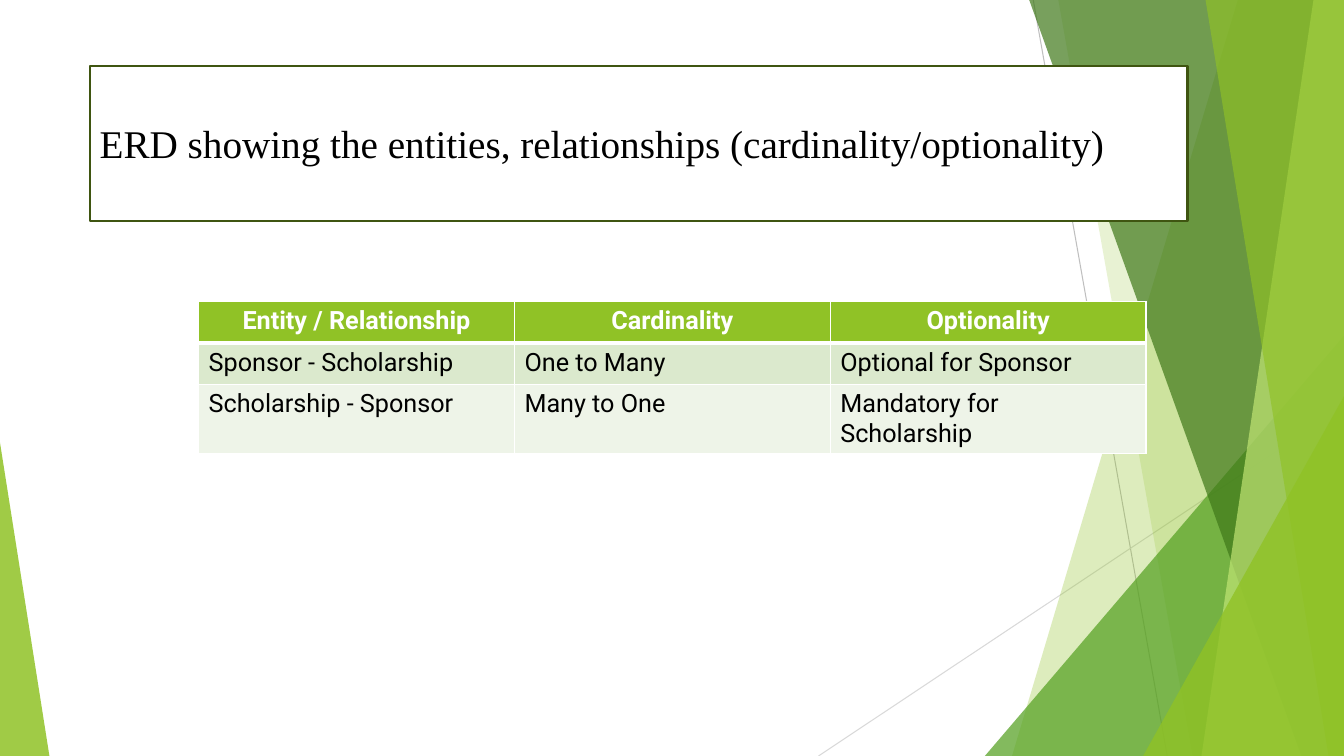
from dataclasses import dataclass

from lxml import etree
from pptx import Presentation
from pptx.dml.color import RGBColor
from pptx.enum.shapes import MSO_CONNECTOR, MSO_SHAPE
from pptx.enum.text import MSO_ANCHOR, PP_ALIGN
from pptx.oxml.ns import qn
from pptx.util import Inches, Pt

STRAIGHT = MSO_CONNECTOR.STRAIGHT
RECTANGLE, TRIANGLE = MSO_SHAPE.RECTANGLE, MSO_SHAPE.ISOSCELES_TRIANGLE
MIDDLE = MSO_ANCHOR.MIDDLE
LEFT, CENTER = PP_ALIGN.LEFT, PP_ALIGN.CENTER

WIDTH, HEIGHT = Inches(13.333), Inches(7.5)
COLORS = {
    "white": "FFFFFF", "black": "000000", "lime": "90C226", "green": "54A021",
    "forest": "3F7819", "pale": "C0E474", "outline": "3F5511",
    "gray": "BFBFBF", "light gray": "D9D9D9",
    "band dark": "DBE9CD", "band light": "EEF4E8",
}
TITLE = "ERD showing the entities, relationships (cardinality/optionality)"
ROWS = [
    ("Entity / Relationship", "Cardinality", "Optionality"),
    ("Sponsor - Scholarship", "One to Many", "Optional for Sponsor"),
    ("Scholarship - Sponsor", "Many to One", "Mandatory for Scholarship"),
]
ROW_FILLS = ["lime", "band dark", "band light"]


# All coordinates are percentages of the slide's width or height.
@dataclass
class Ray:
    start: tuple[float, float]
    end: tuple[float, float]
    color: str


@dataclass
class Shard:
    """A full-height panel from a slanted left edge to the slide's right side."""
    top_x: float
    bottom_x: float
    color: str
    opacity: int


@dataclass
class Wedge:
    """A right triangle standing on the slide's bottom edge."""
    left: float
    top: float
    width: float
    apex: float
    color: str
    opacity: int


RAYS = [
    Ray((76.88, 0), (86.85, 100), "gray"),
    Ray((100, 53.73), (60.9, 100), "light gray"),
]
FACETS = [
    Shard(92.1, 75.3, "lime", 30),
    Shard(78.75, 88.73, "lime", 20),
    Wedge(73.28, 44.4, 26.72, 1, "green", 72),
    Shard(76.58, 96.83, "forest", 70),
    Shard(97.73, 89.4, "pale", 70),
    Shard(89.7, 98.85, "lime", 65),
    Wedge(85.05, 52.4, 14.95, 1, "lime", 80),
    Wedge(0, 58.53, 3.68, 0, "lime", 85),
]


def across(share: float) -> int:
    return round(WIDTH * share / 100)


def down(share: float) -> int:
    return round(HEIGHT * share / 100)


def rgb(name: str) -> RGBColor:
    return RGBColor.from_string(COLORS[name])


def draw_ray(page, ray: Ray) -> None:
    line = page.shapes.add_connector(
        STRAIGHT, across(ray.start[0]), down(ray.start[1]),
        across(ray.end[0]), down(ray.end[1]))
    line.line.color.rgb = rgb(ray.color)
    line.line.width = Pt(0.75)
    etree.SubElement(line._element.spPr, qn("a:effectLst"))


def draw_facet(page, facet: Shard | Wedge) -> None:
    if isinstance(facet, Shard):
        builder = page.shapes.build_freeform(across(facet.top_x), 0)
        builder.add_line_segments(
            [(WIDTH, 0), (WIDTH, HEIGHT), (across(facet.bottom_x), HEIGHT)])
        shape = builder.convert_to_shape()
    else:
        shape = page.shapes.add_shape(
            TRIANGLE, across(facet.left), down(facet.top),
            across(facet.width), down(100 - facet.top))
        shape.adjustments[0] = facet.apex
    shape.shadow.inherit = False
    shape.line.fill.background()
    shape.fill.solid()
    shape.fill.fore_color.rgb = rgb(facet.color)
    color = shape._element.spPr.find(f"{qn('a:solidFill')}/{qn('a:srgbClr')}")
    etree.SubElement(color, qn("a:alpha"), val=str(facet.opacity * 1000))


def set_borders(cell, row: int) -> None:
    """White cell borders, with a heavier rule below the header row."""
    properties = cell._tc.get_or_add_tcPr()
    widths = {"L": 1, "R": 1, "T": 3 if row == 1 else 1, "B": 3 if row == 0 else 1}
    for side, width in widths.items():
        border = etree.SubElement(properties, qn(f"a:ln{side}"), w=str(Pt(width)))
        fill = etree.SubElement(border, qn("a:solidFill"))
        etree.SubElement(fill, qn("a:srgbClr"), val=COLORS["white"])


def draw_table(page) -> None:
    table = page.shapes.add_table(
        len(ROWS), len(ROWS[0]), across(14.78), down(39.87),
        across(70.5), down(5.47 * len(ROWS))).table
    for row, texts in enumerate(ROWS):
        header = row == 0
        for column, text in enumerate(texts):
            cell = table.cell(row, column)
            set_borders(cell, row)
            cell.fill.solid()
            cell.fill.fore_color.rgb = rgb(ROW_FILLS[row])
            cell.text = text
            para = cell.text_frame.paragraphs[0]
            para.alignment = CENTER if header else LEFT
            para.font.name, para.font.size = "Roboto", Pt(18)
            para.font.bold = header
            para.font.color.rgb = rgb("white" if header else "black")


def draw_title(page) -> None:
    box = page.shapes.add_shape(
        RECTANGLE, across(6.68), down(8.67), across(81.68), down(20.53))
    box.shadow.inherit = False
    box.fill.solid()
    box.fill.fore_color.rgb = rgb("white")
    box.line.color.rgb = rgb("outline")
    box.line.width = Pt(1.5)
    frame = box.text_frame
    frame.word_wrap = True
    frame.vertical_anchor = MIDDLE
    frame.text = TITLE
    para = frame.paragraphs[0]
    para.alignment = LEFT
    para.font.name, para.font.size = "Times New Roman", Pt(28)
    para.font.color.rgb = rgb("black")


def main() -> None:
    deck = Presentation()
    deck.slide_width, deck.slide_height = WIDTH, HEIGHT
    page = deck.slides.add_slide(deck.slide_layouts[6])
    for ray in RAYS:
        draw_ray(page, ray)
    for facet in FACETS:
        draw_facet(page, facet)
    draw_table(page)
    draw_title(page)
    deck.save("out.pptx")


if __name__ == "__main__":
    main()
